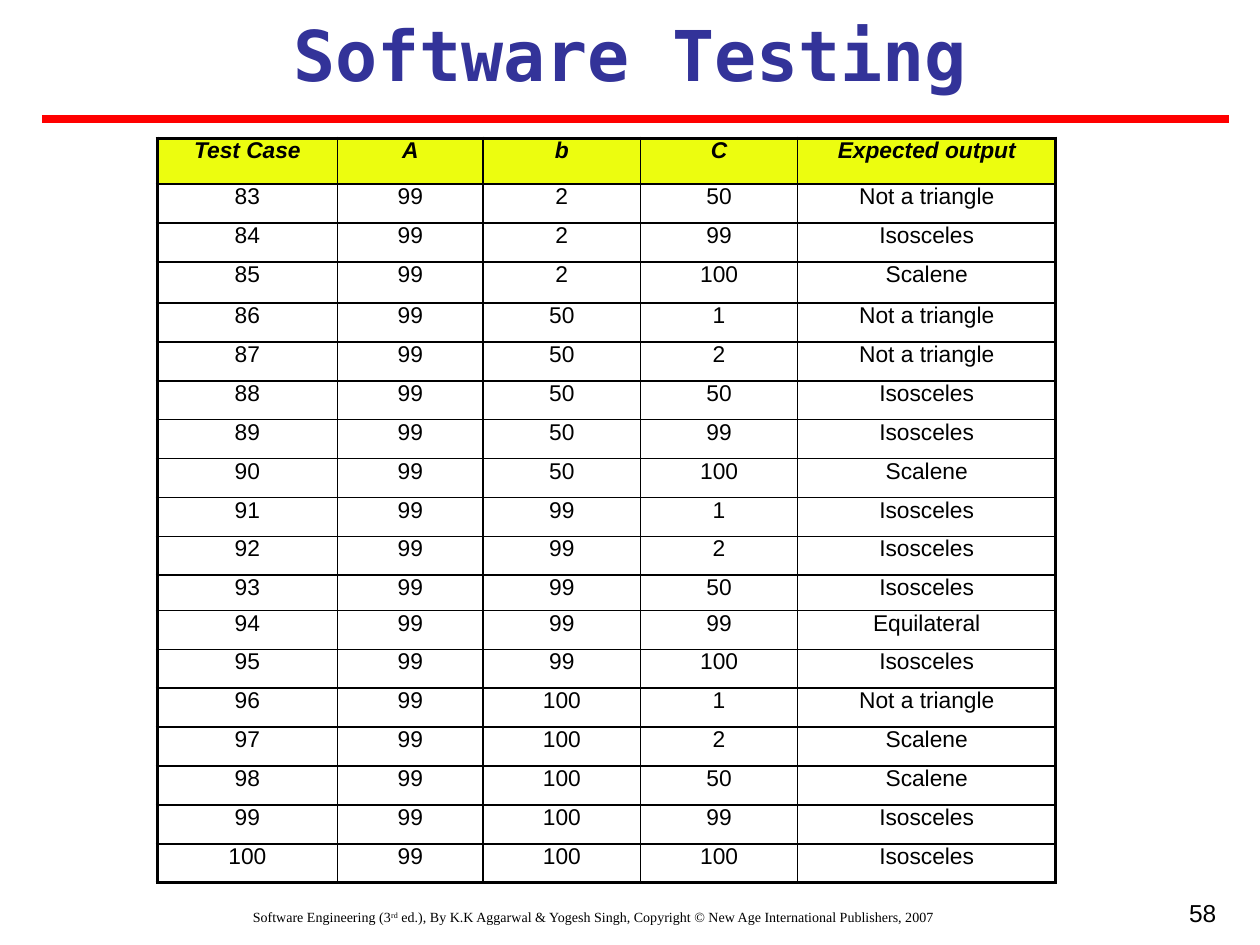
from typing import NamedTuple

import pptx
import pptx.dml.color
import pptx.enum.shapes
import pptx.enum.text
import pptx.oxml.ns
import pptx.util
from lxml import etree
from pptx.util import Cm

ALIGN = pptx.enum.text.PP_ALIGN
BLACK, RED, NAVY, YELLOW = "000000", "FF0000", "333399", "ECFD0F"
THIN, THICK = 1, 2.25


class TextStyle(NamedTuple):
    font_name: str
    size: float
    color: str = BLACK
    bold: bool = False
    italic: bool = False


class Box(NamedTuple):
    left: float
    top: float
    width: float
    height: float

    def lengths(self) -> list:
        return [Cm(value) for value in self]


class TestCase(NamedTuple):
    number: int
    a: int
    b: int
    c: int
    expected: str


HEADINGS = ("Test Case", "A", "b", "C", "Expected output")
TEST_CASES = [
    TestCase(83, 99, 2, 50, "Not a triangle"),
    TestCase(84, 99, 2, 99, "Isosceles"),
    TestCase(85, 99, 2, 100, "Scalene"),
    TestCase(86, 99, 50, 1, "Not a triangle"),
    TestCase(87, 99, 50, 2, "Not a triangle"),
    TestCase(88, 99, 50, 50, "Isosceles"),
    TestCase(89, 99, 50, 99, "Isosceles"),
    TestCase(90, 99, 50, 100, "Scalene"),
    TestCase(91, 99, 99, 1, "Isosceles"),
    TestCase(92, 99, 99, 2, "Isosceles"),
    TestCase(93, 99, 99, 50, "Isosceles"),
    TestCase(94, 99, 99, 99, "Equilateral"),
    TestCase(95, 99, 99, 100, "Isosceles"),
    TestCase(96, 99, 100, 1, "Not a triangle"),
    TestCase(97, 99, 100, 2, "Scalene"),
    TestCase(98, 99, 100, 50, "Scalene"),
    TestCase(99, 99, 100, 99, "Isosceles"),
    TestCase(100, 99, 100, 100, "Isosceles"),
]
COLUMN_WIDTHS = (3.63, 2.94, 3.17, 3.17, 5.2)
SPECIAL_ROW_HEIGHTS = {0: 0.92, 3: 0.83, 11: 0.71}
TABLE_BOX = Box(3.17, 2.79, sum(COLUMN_WIDTHS), 15.01)

TITLE_STYLE = TextStyle("DejaVu Sans Mono", 40, NAVY, bold=True)
FOOTER_STYLE = TextStyle("Times New Roman", 8)
NUMBER_STYLE = TextStyle("Arial", 14)
HEADING_STYLE = TextStyle("Arial", 13, bold=True, italic=True)
BODY_STYLE = TextStyle("Arial", 13)


def rgb(color: str) -> pptx.dml.color.RGBColor:
    return pptx.dml.color.RGBColor.from_string(color)


def format_paragraph(paragraph, style: TextStyle, alignment) -> None:
    paragraph.alignment = alignment
    for run in paragraph.runs:
        font = run.font
        font.name, font.size = style.font_name, pptx.util.Pt(style.size)
        font.bold, font.italic = style.bold, style.italic
        font.color.rgb = rgb(style.color)


def add_text(slide, box: Box, parts: list[str], style: TextStyle, alignment=ALIGN.CENTER):
    """Add a one-paragraph text box with one run for each part."""
    text_frame = slide.shapes.add_textbox(*box.lengths()).text_frame
    text_frame.word_wrap = True
    paragraph = text_frame.paragraphs[0]
    for part in parts:
        paragraph.add_run().text = part
    format_paragraph(paragraph, style, alignment)
    return paragraph


def add_rule(slide, left: float, right: float, y: float) -> None:
    rule = slide.shapes.add_connector(
        pptx.enum.shapes.MSO_CONNECTOR.STRAIGHT, Cm(left), Cm(y), Cm(right), Cm(y))
    rule.line.color.rgb = rgb(RED)
    rule.line.width = pptx.util.Pt(4.5)
    etree.SubElement(rule._element.spPr, pptx.oxml.ns.qn("a:effectLst"))


def set_border(cell, side: str, width: float) -> None:
    qn = pptx.oxml.ns.qn
    properties = cell._tc.get_or_add_tcPr()
    line = etree.SubElement(properties, qn(f"a:ln{side}"), w=str(pptx.util.Pt(width)))
    fill = etree.SubElement(line, qn("a:solidFill"))
    etree.SubElement(fill, qn("a:srgbClr"), val=BLACK)


def add_test_table(slide) -> None:
    rows = [HEADINGS, *TEST_CASES]
    last_row, last_column = len(rows) - 1, len(HEADINGS) - 1
    table = slide.shapes.add_table(len(rows), len(HEADINGS), *TABLE_BOX.lengths()).table
    table.first_row = table.horz_banding = False
    for column, width in zip(table.columns, COLUMN_WIDTHS):
        column.width = Cm(width)
    remaining_height = TABLE_BOX.height - sum(SPECIAL_ROW_HEIGHTS.values())
    regular_height = remaining_height / (len(rows) - len(SPECIAL_ROW_HEIGHTS))

    for row_index, values in enumerate(rows):
        table.rows[row_index].height = Cm(SPECIAL_ROW_HEIGHTS.get(row_index, regular_height))
        is_heading = row_index == 0
        for column_index, value in enumerate(values):
            cell = table.cell(row_index, column_index)
            cell.margin_top = cell.margin_bottom = 0
            cell.text_frame.text = str(value)
            format_paragraph(cell.text_frame.paragraphs[0],
                             HEADING_STYLE if is_heading else BODY_STYLE, ALIGN.CENTER)
            outer_edges = {
                "L": column_index == 0,
                "R": column_index == last_column,
                "T": is_heading,
                "B": row_index == last_row,
            }
            for side, is_outer in outer_edges.items():
                set_border(cell, side, THICK if is_outer else THIN)
            if is_heading:
                cell.fill.solid()
                cell.fill.fore_color.rgb = rgb(YELLOW)
            else:
                cell.fill.background()


def main() -> None:
    presentation = pptx.Presentation()
    presentation.slide_width, presentation.slide_height = Cm(25.4), Cm(19.05)
    slide = presentation.slides.add_slide(presentation.slide_layouts[6])

    footer = add_text(slide, Box(0.64, 18.2, 22.66, 0.85), [
        "Software Engineering (3", "rd",
        " ed.), By K.K Aggarwal & Yogesh Singh, Copyright © New Age International Publishers, 2007",
    ], FOOTER_STYLE)
    footer.runs[1]._r.get_or_add_rPr().set("baseline", "30000")
    add_text(slide, Box(18.85, 17.98, 5.92, 1.5), ["58"], NUMBER_STYLE, ALIGN.RIGHT)
    add_text(slide, Box(0.85, 0.1, 23.7, 1.95), ["Software Testing"], TITLE_STYLE)
    add_rule(slide, 0.85, 24.77, 2.4)
    add_test_table(slide)

    presentation.save("out.pptx")


if __name__ == "__main__":
    main()
